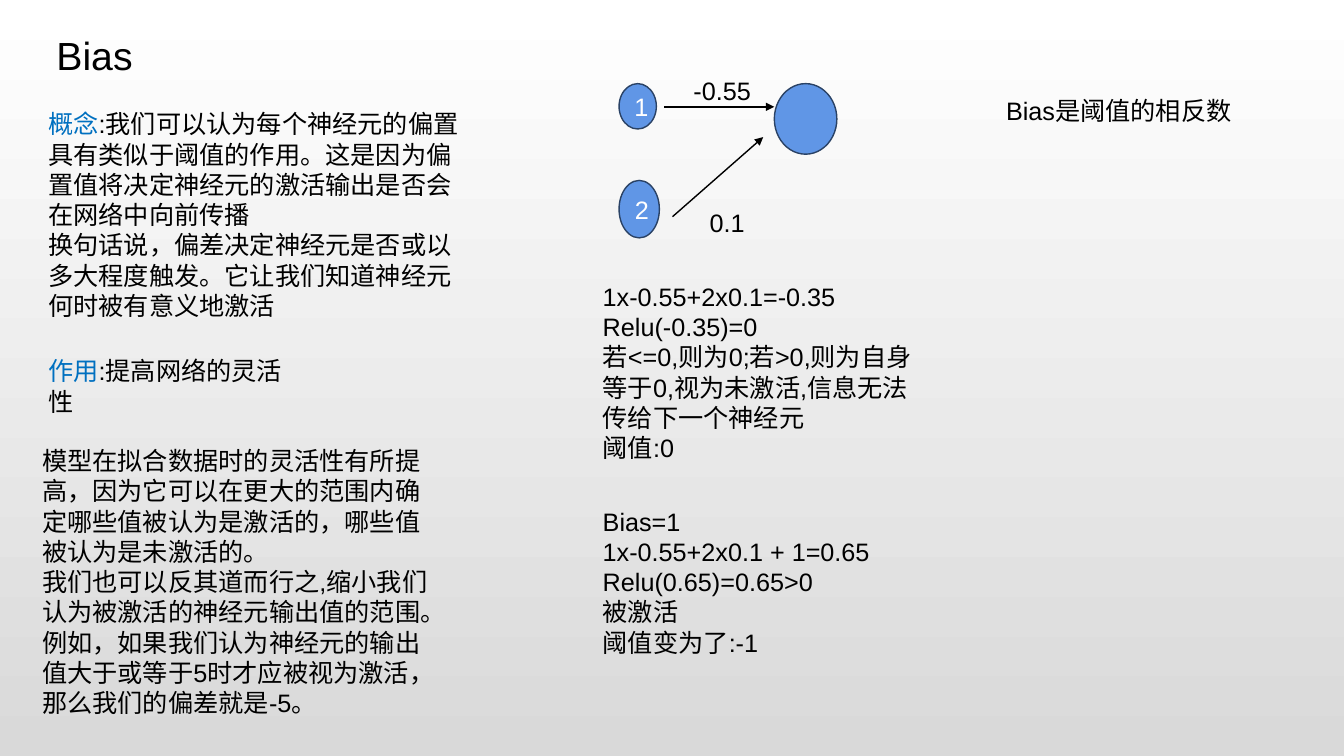
from lxml import etree
from pptx import Presentation
from pptx.dml.color import RGBColor
from pptx.enum import shapes, text
from pptx.oxml import ns
from pptx.util import Inches, Pt

COLORS = {
    "text": "000000",
    "term": "0070C0",
    "neuron": "6096E6",
    "outline": "2A4265",
    "label": "FFFFFF",
    "top": "FFFFFF",
    "bottom": "D9D9D9",
}
FONT = "Arial"

CONCEPT = [
    ("概念", ":我们可以认为每个神经元的偏置具有类似于阈值的作用。这是因为偏置值将决定神经元的激活输出是否会在网络中向前传播"),
    ("", "换句话说，偏差决定神经元是否或以多大程度触发。它让我们知道神经元何时被有意义地激活"),
]
PURPOSE = [("作用", ":提高网络的灵活性")]
FLEXIBILITY = [
    ("", "模型在拟合数据时的灵活性有所提高，因为它可以在更大的范围内确定哪些值被认为是激活的，哪些值被认为是未激活的。"),
    ("", "我们也可以反其道而行之,缩小我们认为被激活的神经元输出值的范围。例如，如果我们认为神经元的输出值大于或等于5时才应被视为激活，那么我们的偏差就是-5。"),
]
WITHOUT_BIAS = [
    ("", "1x-0.55+2x0.1=-0.35"),
    ("", "Relu(-0.35)=0"),
    ("", "若<=0,则为0;若>0,则为自身"),
    ("", "等于0,视为未激活,信息无法传给下一个神经元"),
    ("", "阈值:0"),
]
WITH_BIAS = [
    ("", "Bias=1"),
    ("", "1x-0.55+2x0.1 + 1=0.65"),
    ("", "Relu(0.65)=0.65>0"),
    ("", "被激活"),
    ("", "阈值变为了:-1"),
]


def color(name):
    """Return the named colour."""
    return RGBColor.from_string(COLORS[name])


def style(para, size=18, shade="text"):
    """Set the font of a paragraph."""
    para.font.name = FONT
    para.font.size = Pt(size)
    para.font.color.rgb = color(shade)


def add_background(page):
    """Fill the page with a vertical gradient."""
    fill = page.background.fill
    fill.gradient()
    fill.gradient_angle = 270
    for stop, name in zip(fill.gradient_stops, ("top", "bottom")):
        stop.color.rgb = color(name)


def add_title(page, wording, left, top, width, height):
    """Place and format the page title."""
    title = page.shapes.title
    title.left, title.top = Inches(left), Inches(top)
    title.width, title.height = Inches(width), Inches(height)
    frame = title.text_frame
    frame.text = wording
    frame.vertical_anchor = text.MSO_ANCHOR.TOP
    frame.auto_size = text.MSO_AUTO_SIZE.SHAPE_TO_FIT_TEXT
    para = frame.paragraphs[0]
    para.alignment = text.PP_ALIGN.LEFT
    style(para, 28)


def add_text(page, lines, left, top, width, height):
    """Add a wrapped text box of (term, wording) paragraphs."""
    box = page.shapes.add_textbox(
        Inches(left), Inches(top), Inches(width), Inches(height))
    frame = box.text_frame
    frame.word_wrap = True
    frame.auto_size = text.MSO_AUTO_SIZE.SHAPE_TO_FIT_TEXT
    for index, (term, wording) in enumerate(lines):
        para = frame.add_paragraph() if index else frame.paragraphs[0]
        style(para)
        if term:
            span = para.add_run()
            span.text = term
            span.font.color.rgb = color("term")
        para.add_run().text = wording


def add_neuron(page, label, left, top, width, height):
    """Add one neuron with an optional label."""
    neuron = page.shapes.add_shape(
        shapes.MSO_SHAPE.OVAL,
        Inches(left), Inches(top), Inches(width), Inches(height))
    neuron.shadow.inherit = False
    neuron.fill.solid()
    neuron.fill.fore_color.rgb = color("neuron")
    neuron.line.color.rgb = color("outline")
    neuron.line.width = Pt(1)
    if label:
        frame = neuron.text_frame
        frame.text = label
        frame.vertical_anchor = text.MSO_ANCHOR.MIDDLE
        para = frame.paragraphs[0]
        para.alignment = text.PP_ALIGN.CENTER
        style(para, shade="label")


def add_arrow(page, x1, y1, x2, y2):
    """Add an arrow pointing at the second end."""
    arrow = page.shapes.add_connector(
        shapes.MSO_CONNECTOR.STRAIGHT,
        Inches(x1), Inches(y1), Inches(x2), Inches(y2))
    arrow.line.color.rgb = color("text")
    arrow.line.width = Pt(1)
    properties = arrow.element.spPr
    line = properties.find(ns.qn("a:ln"))
    etree.SubElement(line, ns.qn("a:tailEnd"), type="triangle")
    etree.SubElement(properties, ns.qn("a:effectLst"))


def add_network(page, left, top):
    """Draw two weighted inputs feeding one neuron."""
    add_neuron(page, "1", left, top + 0.13, 0.37, 0.45)
    add_neuron(page, "2", left, top + 1.09, 0.4, 0.57)
    add_arrow(page, left + 0.45, top + 0.36, left + 1.54, top + 0.36)
    add_arrow(page, left + 0.53, top + 1.45, left + 1.43, top + 0.66)
    add_neuron(page, "", left + 1.54, top + 0.13, 0.62, 0.7)
    add_text(page, [("", "-0.55")], left + 0.64, top, 0.9, 0.4)
    add_text(page, [("", "0.1")], left + 0.8, top + 1.31, 0.74, 0.4)


def add_explanation(page, left, top):
    """Write the concept and purpose column."""
    add_text(page, CONCEPT, left + 0.06, top, 4.43, 2.22)
    add_text(page, PURPOSE, left + 0.06, top + 2.45, 2.71, 0.71)
    add_text(page, FLEXIBILITY, left, top + 3.34, 4.07, 3.13)


def add_calculation(page, left, top):
    """Write the results without and with a bias."""
    add_text(page, WITHOUT_BIAS, left, top, 3.36, 1.92)
    add_text(page, WITH_BIAS, left, top + 2.23, 3.26, 1.62)


def main():
    """Build and save the deck."""
    deck = Presentation()
    deck.slide_width, deck.slide_height = Inches(13.33), Inches(7.5)
    page = deck.slides.add_slide(deck.slide_layouts.get_by_name("Title Only"))
    add_background(page)
    add_title(page, "Bias", 0.46, 0.26, 2.2, 0.57)
    add_explanation(page, 0.32, 1.03)
    add_network(page, 6.14, 0.7)
    add_calculation(page, 5.88, 2.74)
    add_text(page, [("", "Bias是阈值的相反数")], 9.88, 0.9, 2.94, 0.4)
    deck.save("out.pptx")


if __name__ == "__main__":
    main()
